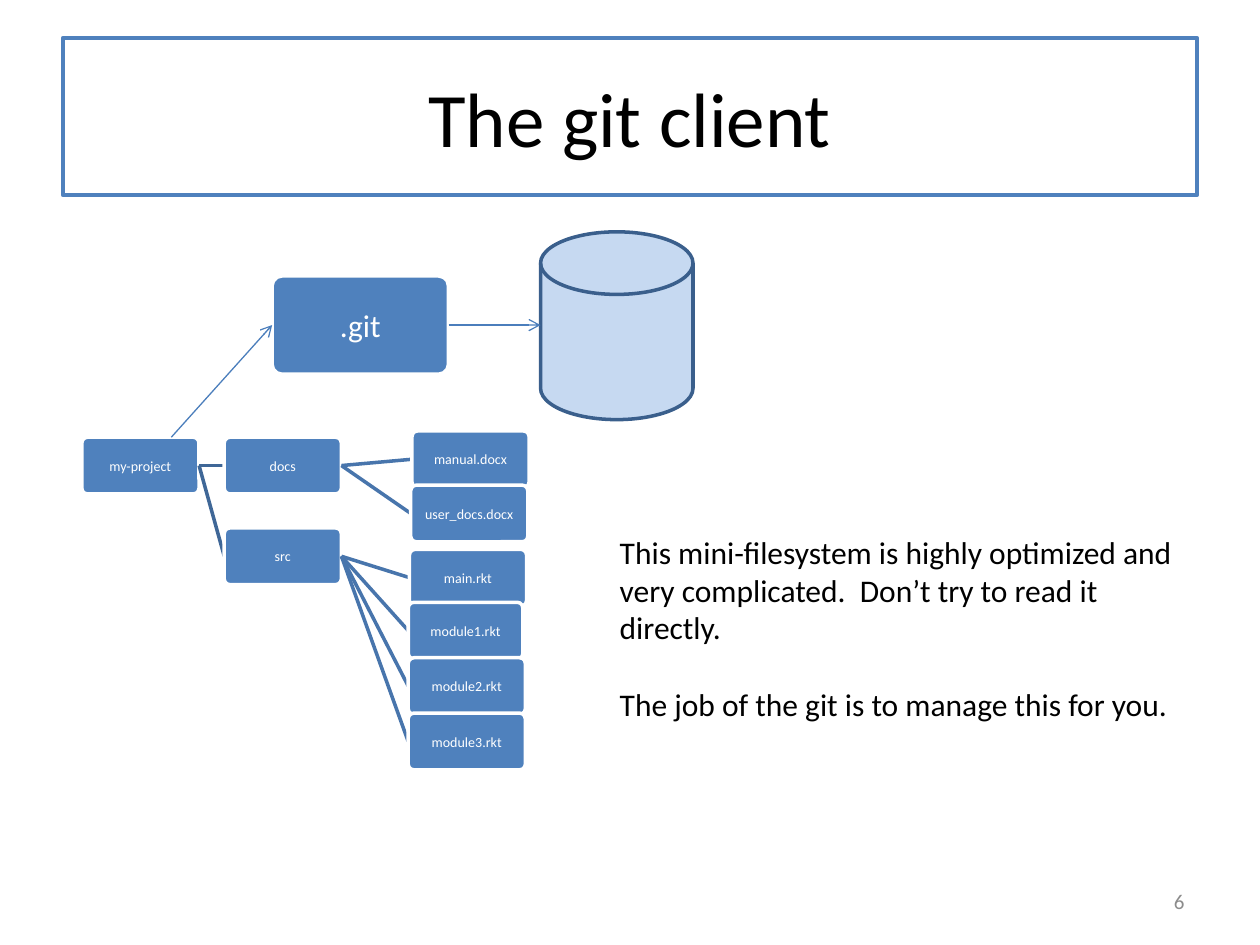
from dataclasses import dataclass
from typing import Optional

from lxml.etree import SubElement
from pptx import Presentation
from pptx.dml.color import RGBColor
from pptx.enum.shapes import MSO_CONNECTOR, MSO_SHAPE
from pptx.enum.text import MSO_ANCHOR, PP_ALIGN
from pptx.oxml.ns import qn
from pptx.util import Inches, Pt

FONT = "Calibri"
BLACK = RGBColor(0x00, 0x00, 0x00)
WHITE = RGBColor(0xFF, 0xFF, 0xFF)
GRAY = RGBColor(0x8C, 0x8C, 0x8C)
BLUE = RGBColor(0x4F, 0x81, 0xBD)
PALE_BLUE = RGBColor(0xC6, 0xD9, 0xF1)
DISK_EDGE = RGBColor(0x3A, 0x5F, 0x8C)
FOLDER_LINK = RGBColor(0x3F, 0x67, 0x97)
FILE_LINK = RGBColor(0x48, 0x75, 0xAC)
ARROW = RGBColor(0x4B, 0x7E, 0xBC)


@dataclass(frozen=True)
class Node:
    label: str
    left: float
    top: float
    parent: Optional["Node"] = None
    link_color: RGBColor = FILE_LINK
    width: float = 0.93
    height: float = 0.45
    size: int = 8
    inset: float = 0.02

    @property
    def right(self) -> float:
        return self.left + self.width

    @property
    def middle(self) -> float:
        return self.top + self.height / 2


def add_span(para, text: str, size: int, color: RGBColor, align=PP_ALIGN.LEFT) -> None:
    para.alignment = align
    span = para.add_run()
    span.text = text
    span.font.name = FONT
    span.font.size = Pt(size)
    span.font.color.rgb = color


def add_box(page, kind, left: float, top: float, width: float, height: float,
            fill: Optional[RGBColor], line: RGBColor, weight: float):
    box = page.shapes.add_shape(kind, Inches(left), Inches(top), Inches(width), Inches(height))
    box.shadow.inherit = False
    if fill is None:
        box.fill.background()
    else:
        box.fill.solid()
        box.fill.fore_color.rgb = fill
    box.line.color.rgb = line
    box.line.width = Pt(weight)
    box.text_frame.word_wrap = True
    box.text_frame.vertical_anchor = MSO_ANCHOR.MIDDLE
    return box


def add_text_box(page, left: float, top: float, width: float, height: float):
    box = page.shapes.add_textbox(Inches(left), Inches(top), Inches(width), Inches(height))
    box.text_frame.word_wrap = True
    return box.text_frame


def add_line(page, start: tuple[float, float], end: tuple[float, float],
             color: RGBColor, weight: float, arrow: bool = False) -> None:
    points = [Inches(value) for value in (*start, *end)]
    line = page.shapes.add_connector(MSO_CONNECTOR.STRAIGHT, *points)
    line.line.color.rgb = color
    line.line.width = Pt(weight)
    if arrow:
        SubElement(line.line._get_or_add_ln(), qn("a:tailEnd"), type="arrow")
    SubElement(line._element.spPr, qn("a:effectLst"))


def add_node(page, node: Node) -> None:
    if node.parent:
        add_line(page, (node.parent.right, node.parent.middle), (node.left, node.middle),
                 node.link_color, 2)
    box = add_box(page, MSO_SHAPE.ROUNDED_RECTANGLE, node.left, node.top,
                  node.width, node.height, BLUE, WHITE, 2)
    box.adjustments[0] = 0.1
    frame = box.text_frame
    frame.margin_left = frame.margin_right = Inches(node.inset)
    frame.margin_top = frame.margin_bottom = Inches(node.inset)
    add_span(frame.paragraphs[0], node.label, node.size, WHITE, PP_ALIGN.CENTER)


PROJECT = Node("my-project", 0.65, 3.47)
DOCS = Node("docs", 1.78, 3.47, PROJECT, FOLDER_LINK)
SRC = Node("src", 1.78, 4.19, PROJECT, FOLDER_LINK)
GIT = Node(".git", 2.16, 2.19, width=1.4, height=0.78, size=18, inset=0.05)
NODES = [
    PROJECT,
    DOCS,
    Node("manual.docx", 3.27, 3.42, DOCS),
    Node("user_docs.docx", 3.26, 3.85, DOCS),
    SRC,
    Node("main.rkt", 3.25, 4.36, SRC),
    Node("module1.rkt", 3.24, 4.78, SRC, width=0.91),
    Node("module2.rkt", 3.24, 5.22, SRC),
    Node("module3.rkt", 3.24, 5.66, SRC),
    GIT,
]
REMARKS = [
    "This mini-filesystem is highly optimized and very complicated.  Don’t try to read it directly.",
    "The job of the git is to manage this for you.",
]


def main() -> None:
    deck = Presentation()
    deck.slide_width, deck.slide_height = Inches(10), Inches(7.5)
    page = deck.slides.add_slide(deck.slide_layouts[6])

    # Title
    title = add_box(page, MSO_SHAPE.RECTANGLE, 0.5, 0.3, 9, 1.25, None, BLUE, 2.25)
    add_span(title.text_frame.paragraphs[0], "The git client", 44, BLACK, PP_ALIGN.CENTER)

    # Project tree
    for node in NODES:
        add_node(page, node)

    # Repository store and its arrows
    disk_left = 4.29
    add_box(page, MSO_SHAPE.FLOWCHART_MAGNETIC_DISK, disk_left, 1.84, 1.21, 1.49,
            PALE_BLUE, DISK_EDGE, 2)
    add_line(page, (GIT.right, GIT.middle), (disk_left, GIT.middle), ARROW, 0.75, arrow=True)
    add_line(page, (1.36, PROJECT.top), (GIT.left, GIT.middle), ARROW, 0.75, arrow=True)

    # Remarks
    frame = add_text_box(page, 4.82, 4.18, 4.69, 1.62)
    for index, remark in enumerate(REMARKS):
        para = frame.add_paragraph() if index else frame.paragraphs[0]
        para.space_before = Pt(22 * index)
        add_span(para, remark, 18, BLACK)

    # Page number
    frame = add_text_box(page, 7.17, 6.95, 2.33, 0.4)
    frame.vertical_anchor = MSO_ANCHOR.MIDDLE
    add_span(frame.paragraphs[0], "6", 12, GRAY, PP_ALIGN.RIGHT)

    deck.save("out.pptx")


if __name__ == "__main__":
    main()
